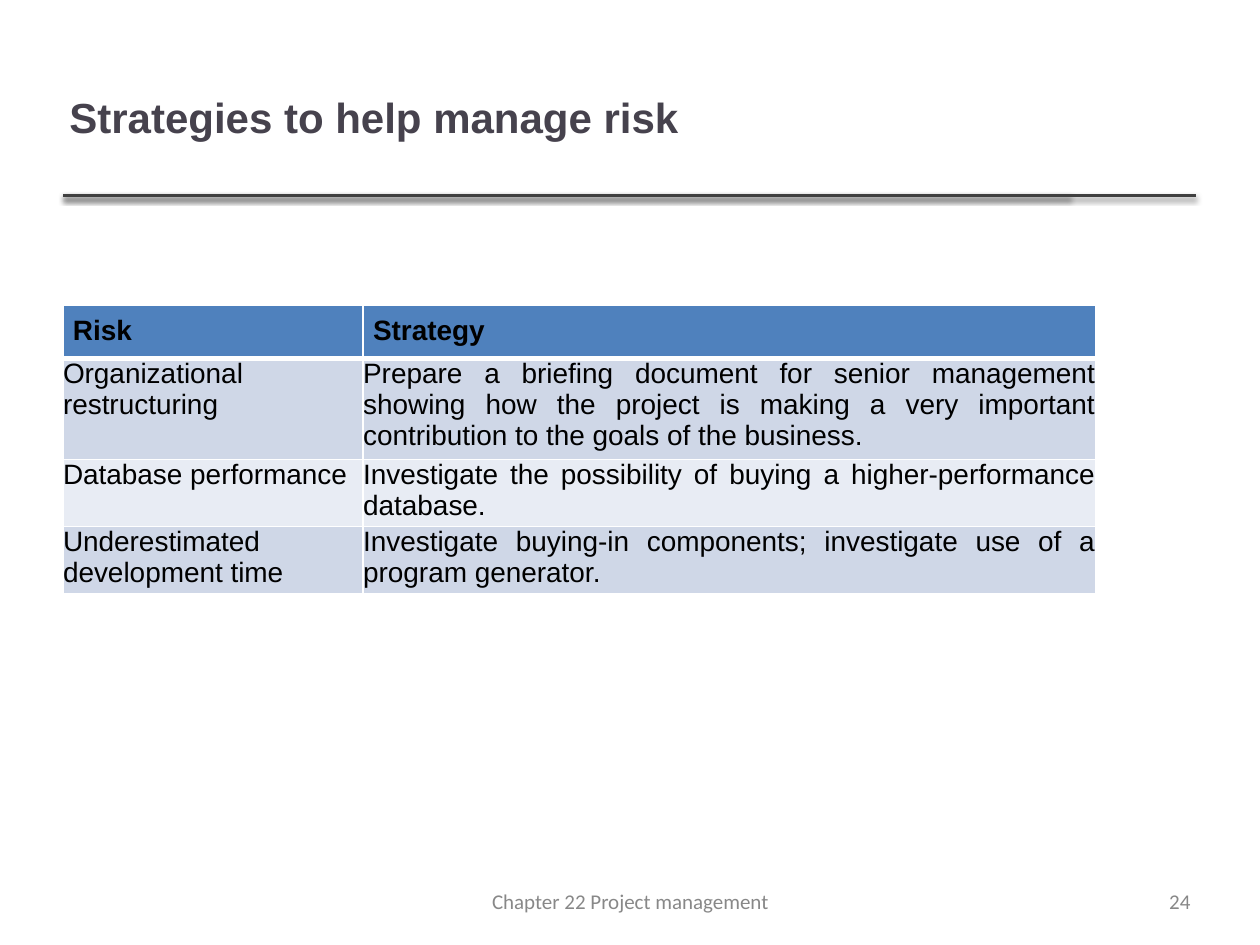
from dataclasses import dataclass

import pptx
import pptx.dml.color
import pptx.enum.shapes
import pptx.enum.text
import pptx.oxml
import pptx.oxml.ns
import pptx.slide
import pptx.table
import pptx.text.text
import pptx.util

Cm = pptx.util.Cm
Pt = pptx.util.Pt
RGBColor = pptx.dml.color.RGBColor
Align = pptx.enum.text.PP_ALIGN

BLACK = RGBColor(0x00, 0x00, 0x00)
WHITE = RGBColor(0xFF, 0xFF, 0xFF)
RULE_GREY = RGBColor(0x40, 0x40, 0x40)
FOOTER_GREY = RGBColor(0x88, 0x88, 0x88)
TITLE_COLOR = RGBColor(0x46, 0x42, 0x4D)
HEADER_FILL = RGBColor(0x4F, 0x81, 0xBD)
BAND_FILLS = (RGBColor(0xCF, 0xD7, 0xE7), RGBColor(0xE8, 0xEC, 0xF4))

LEFT_MARGIN = Cm(1.27)
RULE_TOP = Cm(3.94)
RULE_ENDS = (Cm(21.56), Cm(24.1))
COLUMN_WIDTHS = (Cm(6.05), Cm(14.76))
ROW_HEIGHT = Cm(1.03)
HEADER_INSET = Cm(0.2)

ROWS = (
    ("Risk", "Strategy"),
    ("Organizational restructuring",
     "Prepare a briefing document for senior management showing how the project "
     "is making a very important contribution to the goals of the business."),
    ("Database performance",
     "Investigate the possibility of buying a higher-performance database."),
    ("Underestimated development time",
     "Investigate buying-in components; investigate use of a program generator."),
)


@dataclass(frozen=True)
class TextStyle:
    name: str
    size: float
    color: RGBColor
    bold: bool = False


@dataclass(frozen=True)
class Label:
    text: str
    left: float
    top: float
    width: float
    height: float
    style: TextStyle
    alignment: Align
    wrap: bool = True


TITLE_STYLE = TextStyle("Arial", 24, TITLE_COLOR, True)
HEADER_STYLE = TextStyle("Arial", 16, BLACK, True)
BODY_STYLE = TextStyle("Arial", 16, BLACK)
FOOTER_STYLE = TextStyle("Calibri", 12, FOOTER_GREY)

LABELS = (
    Label("Strategies to help manage risk", 1.27, 0.76, 20.27, 3.18,
          TITLE_STYLE, Align.LEFT),
    Label("Chapter 22 Project management", 8.81, 17.83, 7.8, 0.69,
          FOOTER_STYLE, Align.CENTER),
    Label("24", 23.42, 17.83, 0.71, 0.69, FOOTER_STYLE, Align.RIGHT, False),
)


def set_attributes(target: object, values: dict) -> None:
    for name, value in values.items():
        setattr(target, name, value)


def write_text(paragraph: pptx.text.text._Paragraph, text: str,
               style: TextStyle, alignment: Align) -> None:
    paragraph.alignment = alignment
    run = paragraph.add_run()
    run.text = text
    set_attributes(run.font, {"name": style.name, "size": Pt(style.size),
                              "bold": style.bold})
    run.font.color.rgb = style.color


def add_label(slide: pptx.slide.Slide, label: Label) -> None:
    box = slide.shapes.add_textbox(Cm(label.left), Cm(label.top),
                                   Cm(label.width), Cm(label.height))
    sides = ("margin_left", "margin_top", "margin_right", "margin_bottom")
    set_attributes(box.text_frame, {
        "word_wrap": label.wrap,
        "vertical_anchor": pptx.enum.text.MSO_ANCHOR.MIDDLE,
        **dict.fromkeys(sides, Cm(0.13)),
    })
    write_text(box.text_frame.paragraphs[0], label.text, label.style, label.alignment)


def add_rule(slide: pptx.slide.Slide, end: pptx.util.Length) -> None:
    """Draw a horizontal line with a soft shadow below it."""
    rule = slide.shapes.add_connector(pptx.enum.shapes.MSO_CONNECTOR.STRAIGHT,
                                      LEFT_MARGIN, RULE_TOP, end, RULE_TOP)
    rule.line.color.rgb = RULE_GREY
    rule.line.width = Pt(2)
    rule._element.spPr.append(pptx.oxml.parse_xml(
        f'<a:effectLst {pptx.oxml.ns.nsdecls("a")}>'
        f'<a:outerShdw blurRad="{Pt(3)}" dist="{Pt(1.6)}" dir="5400000" rotWithShape="0">'
        f'<a:srgbClr val="{BLACK}"><a:alpha val="38000"/></a:srgbClr>'
        '</a:outerShdw></a:effectLst>'))


def set_borders(cell: pptx.table._Cell, top: float, bottom: float) -> None:
    """Give the cell white borders; widths are in points."""
    properties = cell._tc.get_or_add_tcPr()
    widths = {"lnL": 1, "lnR": 1, "lnT": top, "lnB": bottom}
    for index, (tag, width) in enumerate(widths.items()):
        properties.insert(index, pptx.oxml.parse_xml(
            f'<a:{tag} {pptx.oxml.ns.nsdecls("a")} w="{Pt(width)}">'
            f'<a:solidFill><a:srgbClr val="{WHITE}"/></a:solidFill></a:{tag}>'))


def format_cell(cell: pptx.table._Cell, text: str, row: int, column: int) -> None:
    is_header = row == 0
    inset = HEADER_INSET if is_header else 0
    sides = ("margin_left", "margin_top", "margin_right", "margin_bottom")
    set_attributes(cell, dict.fromkeys(sides, inset))
    cell.fill.solid()
    cell.fill.fore_color.rgb = HEADER_FILL if is_header else BAND_FILLS[(row - 1) % 2]
    set_borders(cell, top=3 if row == 1 else 1, bottom=3 if is_header else 1)
    justified = is_header or column == 1
    write_text(cell.text_frame.paragraphs[0], text,
               HEADER_STYLE if is_header else BODY_STYLE,
               Align.JUSTIFY if justified else Align.LEFT)


def add_risk_table(slide: pptx.slide.Slide) -> None:
    table = slide.shapes.add_table(len(ROWS), len(COLUMN_WIDTHS), LEFT_MARGIN, Cm(6.15),
                                   sum(COLUMN_WIDTHS), ROW_HEIGHT * len(ROWS)).table
    for column, width in zip(table.columns, COLUMN_WIDTHS):
        column.width = width
    for row, texts in enumerate(ROWS):
        table.rows[row].height = ROW_HEIGHT
        for column, text in enumerate(texts):
            format_cell(table.cell(row, column), text, row, column)


def main() -> None:
    presentation = pptx.Presentation()
    set_attributes(presentation, {"slide_width": Cm(25.4), "slide_height": Cm(19.05)})
    slide = presentation.slides.add_slide(presentation.slide_layouts[6])
    for end in RULE_ENDS:
        add_rule(slide, end)
    for label in LABELS:
        add_label(slide, label)
    add_risk_table(slide)
    presentation.save("out.pptx")


if __name__ == "__main__":
    main()
